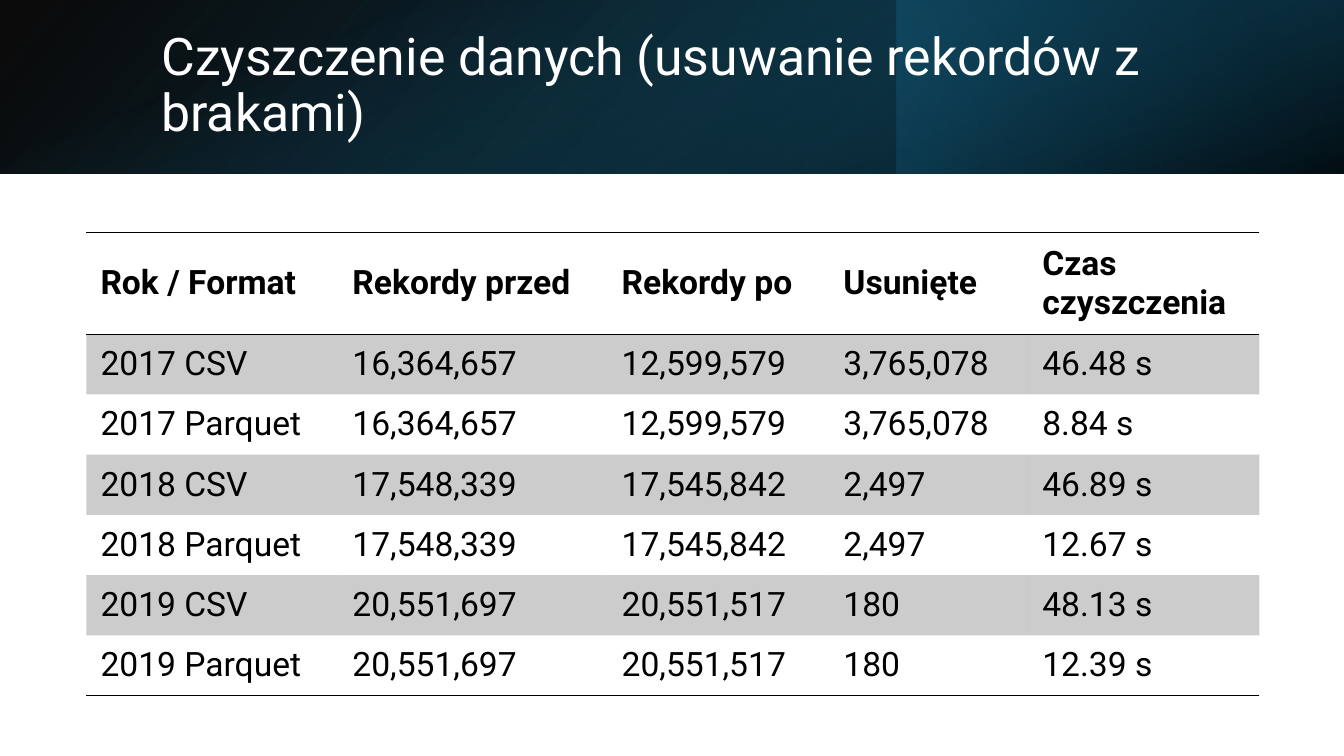
from dataclasses import dataclass

from lxml.etree import SubElement
from pptx import Presentation
from pptx.dml.color import RGBColor
from pptx.enum.shapes import MSO_SHAPE
from pptx.enum.text import MSO_ANCHOR, MSO_AUTO_SIZE, PP_ALIGN
from pptx.oxml.ns import qn
from pptx.util import Inches, Pt


@dataclass(frozen=True)
class Theme:
    font: str = "Roboto"
    title_size: int = 37
    body_size: int = 24
    white: str = "FFFFFF"
    black: str = "000000"
    navy: str = "0B3041"
    ocean: str = "104862"
    teal: str = "156082"
    shade_alpha: int = 20
    rule_width: float = 1
    plain_table: str = "{2D5ABB26-0587-4C30-8999-92F81FD0307C}"


def apply(target, values):
    for name, value in values.items():
        setattr(target, name, value)


def add_color(parent, color, alpha=100):
    clr = SubElement(parent, qn("a:srgbClr"), val=color)
    if alpha < 100:
        SubElement(clr, qn("a:alpha"), val=str(alpha * 1000))


@dataclass
class SlideBuilder:
    """Places elements by percentages of the slide's width and height."""
    prs: object
    s: object
    theme: Theme

    def x(self, share):
        return round(self.prs.slide_width * share / 100)

    def y(self, share):
        return round(self.prs.slide_height * share / 100)

    def add_text(self, tf, text, size, color, bold=False):
        p = tf.paragraphs[0]
        p.alignment = PP_ALIGN.LEFT
        r = p.add_run()
        r.text = text
        apply(r.font, {"name": self.theme.font, "size": Pt(size), "bold": bold})
        r.font.color.rgb = RGBColor.from_string(color)
        return p

    def gradient(self, left, width, height, stops, angle, rotation=0, flip=False):
        left, top, w, h = self.x(left), 0, self.x(width), self.y(height)
        if rotation == 90:  # swap the sides around the same centre
            left, top, w, h = left + (w - h) // 2, (h - w) // 2, h, w
        sp = self.s.shapes.add_shape(MSO_SHAPE.RECTANGLE, left, top, w, h)
        sp.rotation = rotation
        sp.shadow.inherit = False
        sp.line.fill.background()
        sp.fill.background()
        spPr = sp._element.spPr
        if flip:
            spPr.find(qn("a:xfrm")).set("flipH", "1")
        empty = spPr.find(qn("a:noFill"))
        fill = SubElement(spPr, qn("a:gradFill"), rotWithShape="1")
        stop_list = SubElement(fill, qn("a:gsLst"))
        for pos, color, alpha in stops:
            gs = SubElement(stop_list, qn("a:gs"), pos=str(pos * 1000))
            add_color(gs, color, alpha)
        SubElement(fill, qn("a:lin"), ang=str(angle * 60000), scaled="0")
        spPr.replace(empty, fill)

    def title(self, text, left, top, width, height):
        sp = self.s.shapes.title
        apply(sp, {"left": self.x(left), "top": self.y(top),
                   "width": self.x(width), "height": self.y(height)})
        tf = sp.text_frame
        apply(tf, {"word_wrap": True, "auto_size": MSO_AUTO_SIZE.NONE,
                   "vertical_anchor": MSO_ANCHOR.MIDDLE})
        p = self.add_text(tf, text, self.theme.title_size, self.theme.white)
        p.line_spacing = 0.9
        self.s.shapes._spTree.append(sp._element)  # bring in front of the band

    def borders(self, cell, sides):
        for side in sides:
            ln = SubElement(cell._tc.get_or_add_tcPr(), qn(f"a:ln{side}"),
                            w=str(Pt(self.theme.rule_width)))
            add_color(SubElement(ln, qn("a:solidFill")), self.theme.black)

    def cell(self, cell, text, header, shaded, sides):
        apply(cell, {"vertical_anchor": MSO_ANCHOR.MIDDLE,
                     "margin_left": Inches(0.14), "margin_right": Inches(0.14),
                     "margin_top": Inches(0.07), "margin_bottom": Inches(0.07)})
        self.borders(cell, sides)
        if shaded:
            fill = SubElement(cell._tc.get_or_add_tcPr(), qn("a:solidFill"))
            add_color(fill, self.theme.black, self.theme.shade_alpha)
        else:
            cell.fill.background()
        self.add_text(cell.text_frame, text, self.theme.body_size, self.theme.black, header)

    def table(self, rows, left, top, widths, header_height, row_height):
        heights = [header_height] + [row_height] * (len(rows) - 1)
        frame = self.s.shapes.add_table(
            len(rows), len(widths), self.x(left), self.y(top),
            self.x(sum(widths)), self.y(sum(heights)))
        tbl = frame.table
        apply(tbl, {"first_row": False, "horz_banding": False})
        tbl._tbl.tblPr.find(qn("a:tableStyleId")).text = self.theme.plain_table
        for column, width in zip(tbl.columns, widths):
            column.width = self.x(width)
        for i, (row, height) in enumerate(zip(rows, heights)):
            tbl.rows[i].height = self.y(height)
            sides = "TB" if i == 0 else "B" if i == len(rows) - 1 else ""
            for j, text in enumerate(row):
                self.cell(tbl.cell(i, j), text, i == 0, i % 2 == 1, sides)


theme = Theme()
prs = Presentation()
apply(prs, {"slide_width": Inches(13.333), "slide_height": Inches(7.5)})
slide = SlideBuilder(prs, prs.slides.add_slide(prs.slide_layouts[5]), theme)

# Header band: three layered gradients
BAND = 23
slide.gradient(0, 100, BAND, [(0, theme.black, 96), (100, theme.ocean, 100)], 140, flip=True)
slide.gradient(66.67, 33.33, BAND, [(19, theme.navy, 68), (100, theme.teal, 79)], 320, 180)
slide.gradient(0, 100, BAND, [(23, theme.teal, 0), (99, theme.black, 74)], 340, 90)

# Title
slide.title("Czyszczenie danych (usuwanie rekordów z brakami)", 11.26, 5.07, 82.37, 12.8)

# Cleaning results
RESULTS = [
    ("Rok / Format", "Rekordy przed", "Rekordy po", "Usunięte", "Czas czyszczenia"),
    ("2017 CSV", "16,364,657", "12,599,579", "3,765,078", "46.48 s"),
    ("2017 Parquet", "16,364,657", "12,599,579", "3,765,078", "8.84 s"),
    ("2018 CSV", "17,548,339", "17,545,842", "2,497", "46.89 s"),
    ("2018 Parquet", "17,548,339", "17,545,842", "2,497", "12.67 s"),
    ("2019 CSV", "20,551,697", "20,551,517", "180", "48.13 s"),
    ("2019 Parquet", "20,551,697", "20,551,517", "180", "12.39 s"),
]
slide.table(RESULTS, 6.43, 30.8, [18.75, 20.03, 16.5, 14.8, 17.2], 13.4, 7.97)

prs.save("out.pptx")
